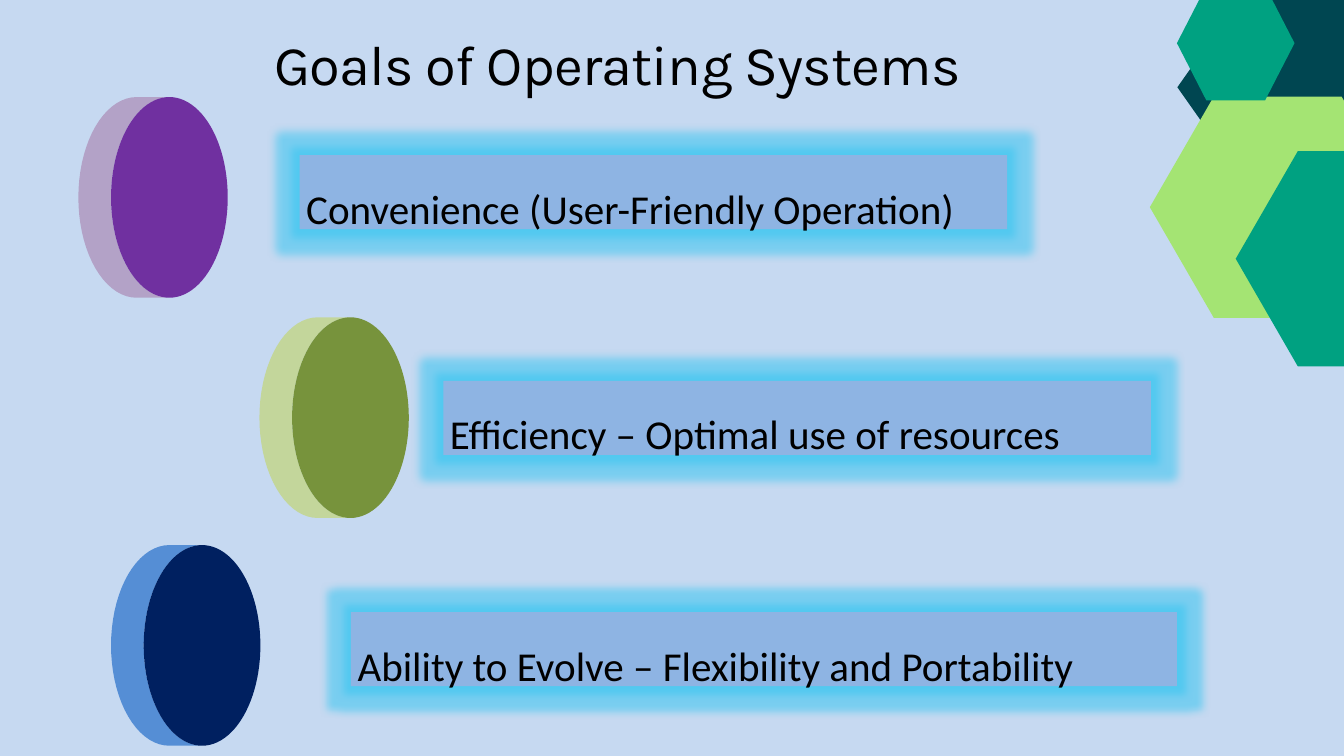
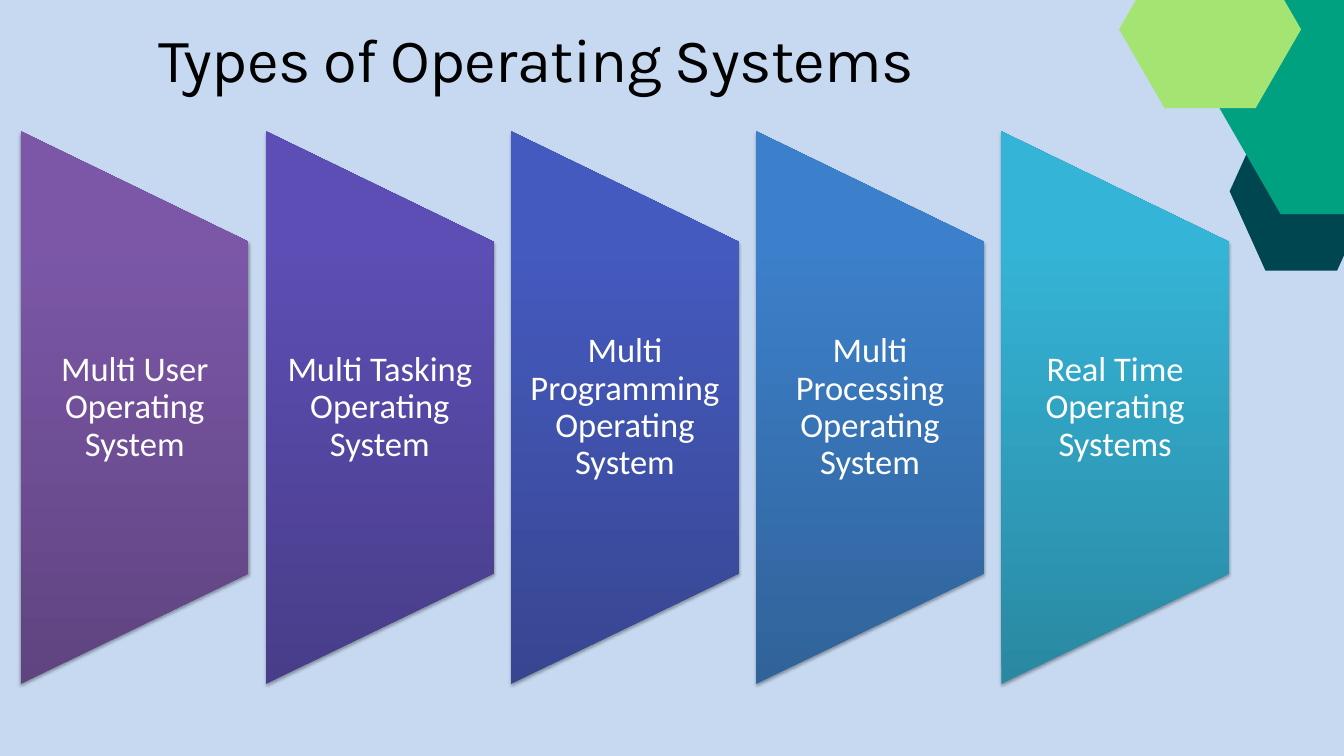
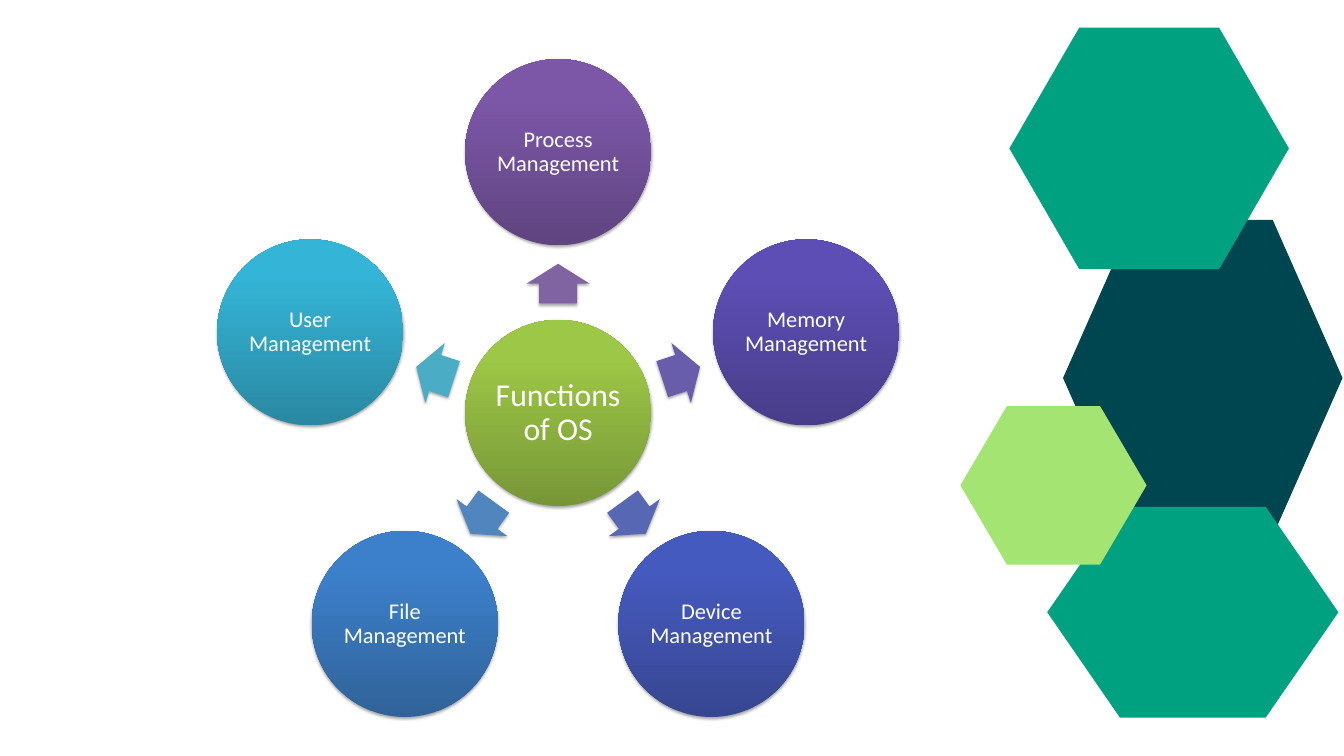
import math

from lxml import etree
from pptx import Presentation
from pptx.dml.color import RGBColor
from pptx.enum import shapes, text
from pptx.oxml import ns
from pptx.util import Pt

TEAL, DARK_TEAL, LIME = "00A181", "004651", "A4E473"
PALE_BLUE, BAR_BLUE, GLOW_BLUE = "C6D9F1", "8EB4E3", "2CC4F0"
BLACK, WHITE = "000000", "FFFFFF"
TITLE_FONT, BODY_FONT = "Karla", "Calibri"

# Dark end of the gradient, light end, flat colour
PURPLE = ("5F4480", "7C57A8", "8064A2")
VIOLET = ("483D89", "5C4EB4", "685DAB")
INDIGO = ("374691", "455ABF", "5767B4")
BLUE = ("306399", "3C80CB", "5185BD")
AQUA = ("2A88A2", "34B4D6", "4BACC6")
GREEN = ("779737", "9DC746", "9BBB59")
ACCENTS = [PURPLE, VIOLET, INDIGO, BLUE, AQUA]


def rgb(color):
    return RGBColor.from_string(color)


def new_slide(presentation, background):
    slide = presentation.slides.add_slide(presentation.slide_layouts[6])
    slide.background.fill.solid()
    slide.background.fill.fore_color.rgb = rgb(background)
    return slide


def paint(shape, color):
    """Fill flat, with neither outline nor effects."""
    shape.shadow.inherit = False
    shape.line.fill.background()
    shape.fill.solid()
    shape.fill.fore_color.rgb = rgb(color)


def shade(shape, dark, light):
    """Fill with a gradient that is dark at the bottom."""
    paint(shape, light)
    shape.fill.gradient()
    shape.fill.gradient_angle = 90
    stops = shape.fill.gradient_stops
    for stop, color, position in zip(stops, (dark, light), (0, 0.8)):
        stop.color.rgb = rgb(color)
        stop.position = position


def add_effect(shape, tag, color, opacity, **attributes):
    effects = shape._element.spPr.find(ns.qn("a:effectLst"))
    effect = etree.SubElement(effects, ns.qn(tag), attributes)
    tint = etree.SubElement(effect, ns.qn("a:srgbClr"), val=color)
    etree.SubElement(tint, ns.qn("a:alpha"), val=str(opacity * 1000))


def add_shadow(shape):
    add_effect(shape, "a:outerShdw", BLACK, 35, blurRad=str(Pt(3.1)),
               dist=str(Pt(1.8)), dir="5400000", rotWithShape="0")


def write(shape, content, size, color, font=BODY_FONT, spacing=0.9,
          align=text.PP_ALIGN.CENTER, anchor=text.MSO_ANCHOR.MIDDLE):
    frame = shape.text_frame
    frame.word_wrap = True
    frame.vertical_anchor = anchor
    paragraph = frame.paragraphs[0]
    paragraph.text = content
    paragraph.alignment = align
    paragraph.line_spacing = spacing
    paragraph.font.name = font
    paragraph.font.size = Pt(size)
    paragraph.font.color.rgb = rgb(color)
    return paragraph


def set_insets(frame, horizontal, vertical):
    frame.margin_left = frame.margin_right = Pt(horizontal)
    frame.margin_top = frame.margin_bottom = Pt(vertical)


def add_polygon(slide, points):
    start, *others = [(Pt(x), Pt(y)) for x, y in points]
    builder = slide.shapes.build_freeform(*start)
    builder.add_line_segments(others, close=True)
    return builder.convert_to_shape()


def add_title(slide, content, left, top, width, size):
    box = slide.shapes.add_textbox(Pt(left), Pt(top), Pt(width), Pt(95))
    set_insets(box.text_frame, 0, 0)
    paragraph = write(box, content, size, BLACK, TITLE_FONT, Pt(102),
                      text.PP_ALIGN.LEFT, text.MSO_ANCHOR.TOP)
    paragraph.runs[0]._r.get_or_add_rPr().set("spc", "-80")
    box.text_frame.auto_size = text.MSO_AUTO_SIZE.SHAPE_TO_FIT_TEXT


def add_hexagons(slide, hexagons):
    """Hexagons whose top and bottom edges are half as wide as the whole."""
    for color, left, top, width, height in hexagons:
        hexagon = slide.shapes.add_shape(
            shapes.MSO_SHAPE.HEXAGON, Pt(left), Pt(top), Pt(width), Pt(height))
        hexagon.adjustments[0] = 0.25 * width / min(width, height)
        paint(hexagon, color)


def add_disc(slide, left, top, rim_color, face_color):
    width, height, depth = 125, 215, 35
    radius_x, radius_y = width / 2, height / 2
    angles = [math.radians(90 + 5 * step) for step in range(37)]
    arc = [(left + radius_x + radius_x * math.cos(angle),
            top + radius_y + radius_y * math.sin(angle)) for angle in angles]
    rim = add_polygon(slide, arc + [(x + depth, y) for x, y in reversed(arc)])
    paint(rim, rim_color)
    face = slide.shapes.add_shape(
        shapes.MSO_SHAPE.OVAL, Pt(left + depth), Pt(top), Pt(width), Pt(height))
    paint(face, face_color)


def add_goal_bar(slide, content, left, top, width):
    bar = slide.shapes.add_shape(
        shapes.MSO_SHAPE.RECTANGLE, Pt(left), Pt(top), Pt(width), Pt(79.2))
    paint(bar, BAR_BLUE)
    add_effect(bar, "a:glow", GLOW_BLUE, 50, rad=str(Pt(18)))
    write(bar, content, 44, BLACK, spacing=1.5,
          align=text.PP_ALIGN.JUSTIFY, anchor=text.MSO_ANCHOR.TOP)
    bar.text_frame.auto_size = text.MSO_AUTO_SIZE.SHAPE_TO_FIT_TEXT


def add_type_panels(slide, names, left, top, width, height, gap):
    """A row of panels that narrow to the right."""
    slope = height / 5
    for index, (name, (dark, light, _)) in enumerate(zip(names, ACCENTS)):
        x = left + index * (width + gap)
        panel = add_polygon(slide, [
            (x, top), (x + width, top + slope),
            (x + width, top + height - slope), (x, top + height)])
        shade(panel, dark, light)
        add_shadow(panel)
        set_insets(panel.text_frame, 18.7, 0)
        write(panel, name, 37, WHITE)


def add_circle(slide, content, center_x, center_y, accent, size, inset):
    diameter = 199.4
    circle = slide.shapes.add_shape(
        shapes.MSO_SHAPE.OVAL, Pt(center_x - diameter / 2),
        Pt(center_y - diameter / 2), Pt(diameter), Pt(diameter))
    shade(circle, *accent[:2])
    add_shadow(circle)
    set_insets(circle.text_frame, inset, inset)
    write(circle, content, size, WHITE)


def add_arrow(slide, center_x, center_y, rotation, color):
    width, height = 42.5, 67.7
    arrow = slide.shapes.add_shape(
        shapes.MSO_SHAPE.RIGHT_ARROW, Pt(center_x - width / 2),
        Pt(center_y - height / 2), Pt(width), Pt(height))
    arrow.adjustments[0], arrow.adjustments[1] = 0.6, 0.5
    arrow.rotation = rotation % 360
    paint(arrow, color)
    add_shadow(arrow)


def add_wheel(slide, hub, names, center_x, center_y):
    """A hub with one arrow and one circle for each name around it."""
    def on_orbit(radius, degrees):
        angle = math.radians(degrees)
        return (center_x + radius * math.cos(angle),
                center_y + radius * math.sin(angle))

    add_circle(slide, hub, center_x, center_y, GREEN, 34, 3.6)
    for index, (name, accent) in enumerate(zip(names, ACCENTS)):
        degrees = -90 + index * 360 / len(names)
        add_arrow(slide, *on_orbit(138.6, degrees), degrees, accent[2])
        add_circle(slide, name, *on_orbit(279.4, degrees), accent, 24, 2.2)


def build_goals(presentation):
    slide = new_slide(presentation, PALE_BLUE)
    add_title(slide, "Goals of Operating Systems", 294, 2, 988, 60)
    add_hexagons(slide, [
        (DARK_TEAL, 1261.5, -16.5, 310, 220),
        (LIME, 1232, 103.5, 274, 237),
        (TEAL, 1261, -15, 126, 122.5),
        (TEAL, 1324, 162, 266, 230.5)])
    add_disc(slide, 119, 584, "558ED5", "002060")
    add_disc(slide, 84, 104, "B3A2C7", "7030A0")
    add_disc(slide, 278, 340, "C3D69B", "77933C")
    add_goal_bar(slide, "Convenience (User-Friendly Operation)", 321, 166.3, 758)
    add_goal_bar(slide, "Efficiency – Optimal use of resources", 475, 408.2, 758)
    add_goal_bar(slide, "Ability to Evolve – Flexibility and Portability",
                 376, 656, 885)


def build_types(presentation):
    slide = new_slide(presentation, PALE_BLUE)
    add_hexagons(slide, [
        (DARK_TEAL, 1317.5, 120, 153.5, 170),
        (TEAL, 1289.5, -57, 330.5, 286.5),
        (LIME, 1199, -53, 195, 169)])
    add_title(slide, "Types of Operating Systems", 170, 0, 972, 66)
    names = ["Multi User Operating System", "Multi Tasking Operating System",
             "Multi Programming Operating System",
             "Multi Processing Operating System", "Real Time Operating Systems"]
    add_type_panels(slide, names, 22.4, 140.8, 244, 592, 18.6)


def build_functions(presentation):
    slide = new_slide(presentation, WHITE)
    add_hexagons(slide, [
        (DARK_TEAL, 1139, 235.5, 299.5, 339),
        (TEAL, 1122, 543, 312, 226),
        (LIME, 1029, 435, 199.5, 170),
        (TEAL, 1081.5, 29.5, 299.5, 259)])
    names = [f"{subject} Management"
             for subject in ("Process", "Memory", "Device", "File", "User")]
    add_wheel(slide, "Functions of OS", names, 598, 442.5)


def main():
    presentation = Presentation()
    presentation.slide_width, presentation.slide_height = Pt(1440), Pt(810)
    build_goals(presentation)
    build_types(presentation)
    build_functions(presentation)
    presentation.save("out.pptx")


if __name__ == "__main__":
    main()
